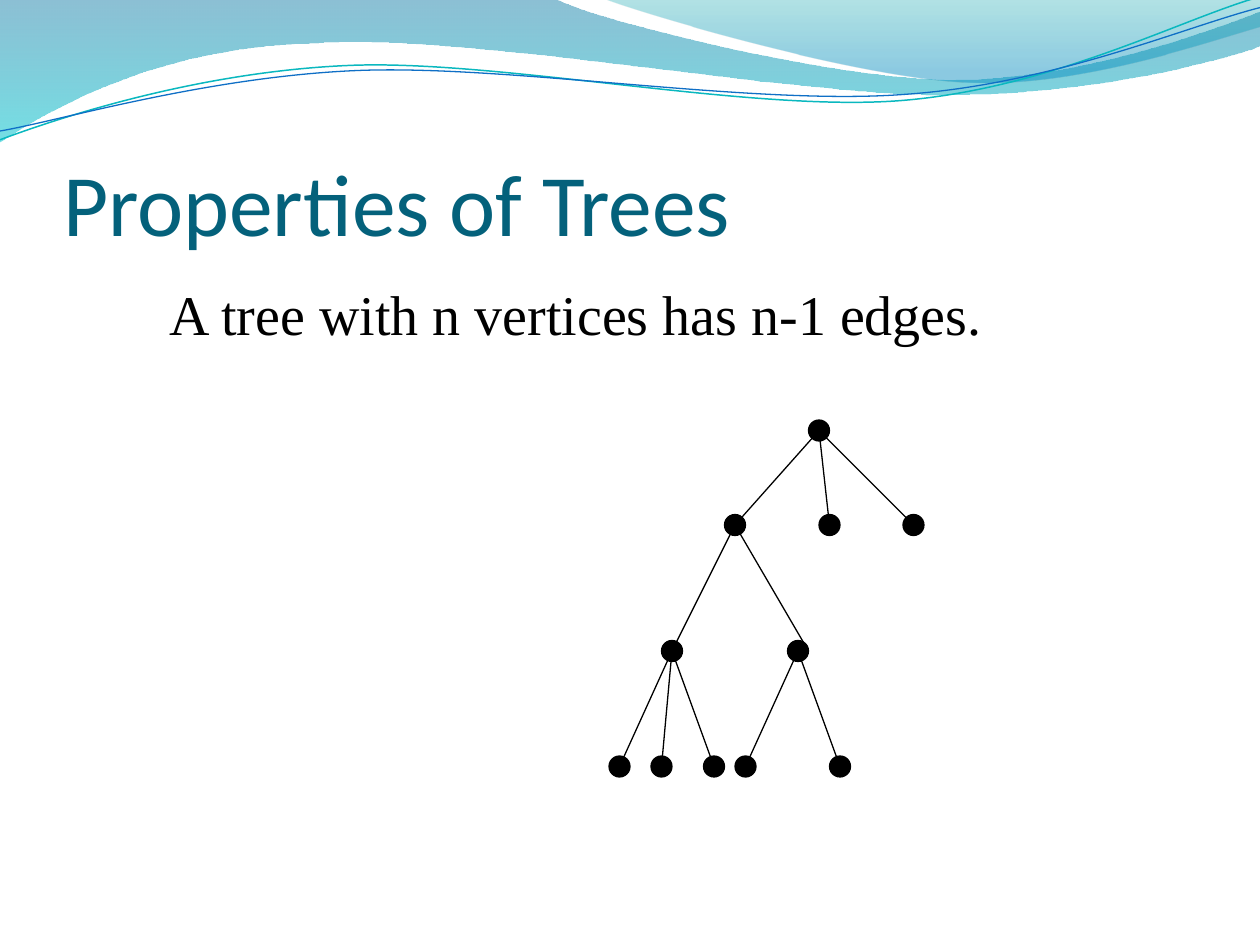
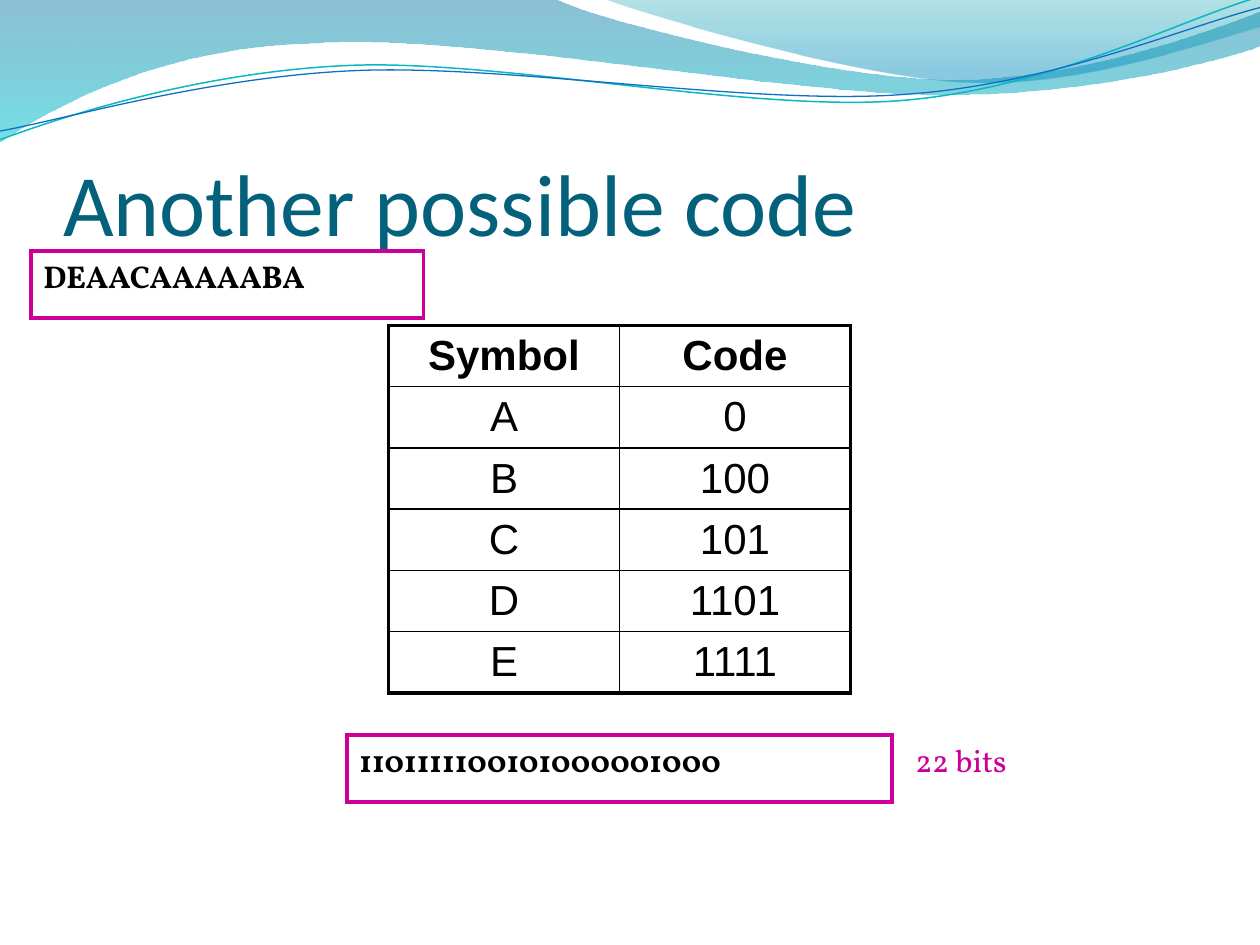
import math
import pptx
import pptx.dml.color
import pptx.enum.shapes
import pptx.enum.text
import pptx.oxml
import pptx.oxml.ns
import pptx.util
import lxml.etree


class Theme:
    title = "04617B"
    ink = "000000"
    accent = "CC0099"
    head_font, text_font, table_font, code_font = "Calibri", "Times New Roman", "Arial", "Vollkorn"
    title_pt, text_pt, table_pt, code_pt = 50, 32, 24, 18
    thin, medium, thick = 0.75, 1, 2.25


RGB = pptx.dml.color.RGBColor.from_string
Pt = pptx.util.Pt
Inches = pptx.util.Inches
SHAPES = pptx.enum.shapes.MSO_SHAPE
qn = pptx.oxml.ns.qn

prs = pptx.Presentation()
prs.slide_width = Inches(10)
prs.slide_height = Inches(7.5)
CELL = prs.slide_width // 120


def style(tf, font, size, color, bold=False, align=pptx.enum.text.PP_ALIGN.LEFT):
    tf.word_wrap = True
    for p in tf.paragraphs:
        p.alignment = align
        for r in p.runs:
            r.font.name = font
            r.font.size = Pt(size)
            r.font.bold = bold
            r.font.color.rgb = RGB(color)


def add_curve(shapes, frame, start, segments, closed, rotation=0):
    left, top, width, height = frame
    fb = shapes.build_freeform(Inches(left), Inches(top))
    fb.add_line_segments([(Inches(left + width), Inches(top + height))], close=closed)
    sp = fb.convert_to_shape()
    sp.left, sp.top, sp.width, sp.height = [Inches(n) for n in frame]
    sp.rotation = rotation
    sp.shadow.inherit = False
    outline = next(sp.element.iter(qn("a:path")))
    for step in list(outline):
        outline.remove(step)
    outline.set("w", str(sp.width))
    outline.set("h", str(sp.height))
    cos, sin = math.cos(math.radians(-rotation)), math.sin(math.radians(-rotation))
    mid_x, mid_y = left + width / 2, top + height / 2
    for i, seg in enumerate([start] + segments):
        kind = "moveTo" if i == 0 else "lnTo" if len(seg) == 2 else "cubicBezTo"
        step = lxml.etree.SubElement(outline, qn("a:" + kind))
        for x, y in zip(seg[::2], seg[1::2]):
            dx, dy = x - mid_x, y - mid_y
            pt = lxml.etree.SubElement(step, qn("a:pt"))
            pt.set("x", str(Inches(width / 2 + dx * cos - dy * sin)))
            pt.set("y", str(Inches(height / 2 + dx * sin + dy * cos)))
    if closed:
        lxml.etree.SubElement(outline, qn("a:close"))
    return sp


slides = []
for title in ("Properties of Trees", "Another possible code"):
    s = prs.slides.add_slide(prs.slide_layouts[5])
    sp = s.shapes.title
    sp.left, sp.top, sp.width, sp.height = [int(n * CELL) for n in (6, 9.2, 109, 15)]
    tf = sp.text_frame
    tf.text = title
    tf.auto_size = pptx.enum.text.MSO_AUTO_SIZE.NONE
    tf.vertical_anchor = pptx.enum.text.MSO_ANCHOR.BOTTOM
    tf.margin_left = tf.margin_right = tf.margin_bottom = 0
    tf.margin_top = Inches(0.05)
    style(tf, Theme.head_font, Theme.title_pt, Theme.title)
    slides.append(s)
tree_slide, code_slide = slides

bands = [
    ((-0.01, -0.01, 10.02, 1.14), (0, 0),
     [(4.4, -0.01), (4.76, 0.17, 6.64, 0.63, 7.58, 0.63), (8.53, 0.63, 9.58, 0.26, 10, 0.09),
      (10.01, 0.36), (9.83, 0.44, 8.7, 0.76, 7.46, 0.75), (6.22, 0.75, 3.82, 0.28, 2.57, 0.34),
      (1.29, 0.36, 0.46, 0.83, -0.01, 1.13), (0, 0)],
     [(0, "0074A1", 45), (1, "00C6CF", 55)]),
    ((4.79, -0.01, 5.21, 0.7), (4.79, -0.01),
     [(5.09, 0.11, 6.82, 0.62, 7.69, 0.65), (8.56, 0.69, 9.61, 0.32, 10, 0.21), (10, 0), (4.79, -0.01)],
     [(0, "00A1A9", 30), (0.8, "008BBF", 45)]),
]
waves = [
    ((-0.02, 0.22, 10.02, 0.71), (0, 1.11),
     [(0.48, 0.93, 1.58, 0.57, 2.77, 0.52), (3.95, 0.47, 5.93, 0.89, 7.13, 0.8),
      (8.33, 0.71, 9.38, 0.15, 9.98, -0.02)], "0AB8BF", 0.85),
    ((-0.02, 0.3, 10.03, 0.58), (0, 1.04),
     [(0.47, 0.96, 1.64, 0.61, 2.83, 0.56), (4.03, 0.51, 5.97, 0.84, 7.17, 0.75),
      (8.36, 0.67, 9.41, 0.21, 10, 0.06)], "0F6FC6", 0.75),
]
decor = []
for frame, start, segments, stops in bands:
    sp = add_curve(tree_slide.shapes, frame, start, segments, True)
    sp.line.fill.background()
    sp.fill.gradient()
    sp.fill.gradient_angle = 270
    for stop, (position, color, alpha) in zip(sp.fill.gradient_stops, stops):
        stop.position = position
        stop.color.rgb = RGB(color)
    for clr, (position, color, alpha) in zip(sp.element.spPr.iter(qn("a:srgbClr")), stops):
        lxml.etree.SubElement(clr, qn("a:alpha")).set("val", str(alpha * 1000))
    decor.append(sp)
for frame, start, segments, color, width in waves:
    sp = add_curve(tree_slide.shapes, frame, start, segments, False, 357.3)
    sp.fill.background()
    sp.line.color.rgb = RGB(color)
    sp.line.width = Pt(width)
    decor.append(sp)
for i, sp in enumerate(decor):
    prs.slide_master.shapes.element.insert(2 + i, sp.element)

sp = tree_slide.shapes.add_textbox(*[int(n * CELL) for n in (15, 26, 98, 7.5)])
sp.text_frame.text = "A tree with n vertices has n-1 edges."
style(sp.text_frame, Theme.text_font, Theme.text_pt, Theme.ink)

root, left, middle, right = (78, 41), (70, 50), (79, 50), (87, 50)
inner_left, inner_right = (64, 62), (76, 62)
left_leaves = [(col, 73) for col in (59, 63, 68)]
right_leaves = [(col, 73) for col in (71, 80)]
nodes = [root, left, middle, right, inner_left, inner_right] + left_leaves + right_leaves
edges = [(root, left), (root, middle), (root, right), (left, inner_left), (left, (77, 62))]
edges += [(inner_left, leaf) for leaf in left_leaves]
edges += [(inner_right, leaf) for leaf in right_leaves]

tree = tree_slide.shapes.add_group_shape()
for col, row in nodes:
    sp = tree.shapes.add_shape(SHAPES.OVAL, (col - 1) * CELL, (row - 1) * CELL, 2 * CELL, 2 * CELL)
    sp.shadow.inherit = False
    sp.fill.solid()
    sp.fill.fore_color.rgb = RGB(Theme.ink)
    sp.line.color.rgb = RGB(Theme.ink)
    sp.line.width = Pt(Theme.thin)
for parent, child in edges:
    ends = [n * CELL for n in parent + child]
    edge = tree.shapes.add_connector(pptx.enum.shapes.MSO_CONNECTOR.STRAIGHT, *ends)
    edge.line.color.rgb = RGB(Theme.ink)
    edge.line.width = Pt(Theme.thin)
    lxml.etree.SubElement(edge.element.spPr, qn("a:effectLst"))

rows = [("Symbol", "Code"), ("A", "0"), ("B", "100"), ("C", "101"), ("D", "1101"), ("E", "1111")]
frame = code_slide.shapes.add_table(len(rows), 2, 37 * CELL, 31 * CELL, 44 * CELL, 35 * CELL)
table = frame.table
for i, row in enumerate(rows):
    table.rows[i].height = 35 * CELL // len(rows)
    for j, text in enumerate(row):
        cell = table.cell(i, j)
        cell.text = text
        cell.vertical_anchor = pptx.enum.text.MSO_ANCHOR.MIDDLE
        style(cell.text_frame, Theme.table_font, Theme.table_pt, Theme.ink, i == 0,
              pptx.enum.text.PP_ALIGN.CENTER)
        outer = {"L": j == 0, "R": j == 1, "T": i == 0, "B": i == len(rows) - 1}
        tcPr = cell._tc.get_or_add_tcPr()
        for side, is_outer in outer.items():
            ln = lxml.etree.SubElement(tcPr, qn("a:ln" + side))
            ln.set("w", str(Pt(Theme.thick if is_outer else Theme.medium)))
            fill = lxml.etree.SubElement(ln, qn("a:solidFill"))
            lxml.etree.SubElement(fill, qn("a:srgbClr")).set("val", Theme.ink)
        cell.fill.background()

for text, col, row, width in (("DEAACAAAAABA", 2.95, 23.9, 37.4), ("1101111100101000001000", 33.05, 70, 51.9)):
    box = [int(n * CELL) for n in (col, row, width, 6.4)]
    sp = code_slide.shapes.add_shape(SHAPES.RECTANGLE, *box)
    sp.shadow.inherit = False
    sp.fill.background()
    sp.line.color.rgb = RGB(Theme.accent)
    sp.line.width = Pt(Theme.thick)
    lxml.etree.SubElement(sp.element.spPr.find(qn("a:ln")), qn("a:miter")).set("lim", "800000")
    sp.text_frame.text = text
    sp.text_frame.vertical_anchor = pptx.enum.text.MSO_ANCHOR.TOP
    style(sp.text_frame, Theme.code_font, Theme.code_pt, Theme.ink, True)

sp = code_slide.shapes.add_textbox(*[int(n * CELL) for n in (86, 70, 14.2, 6)])
sp.text_frame.text = "22 bits"
style(sp.text_frame, Theme.code_font, Theme.code_pt, Theme.accent)

prs.save("out.pptx")
